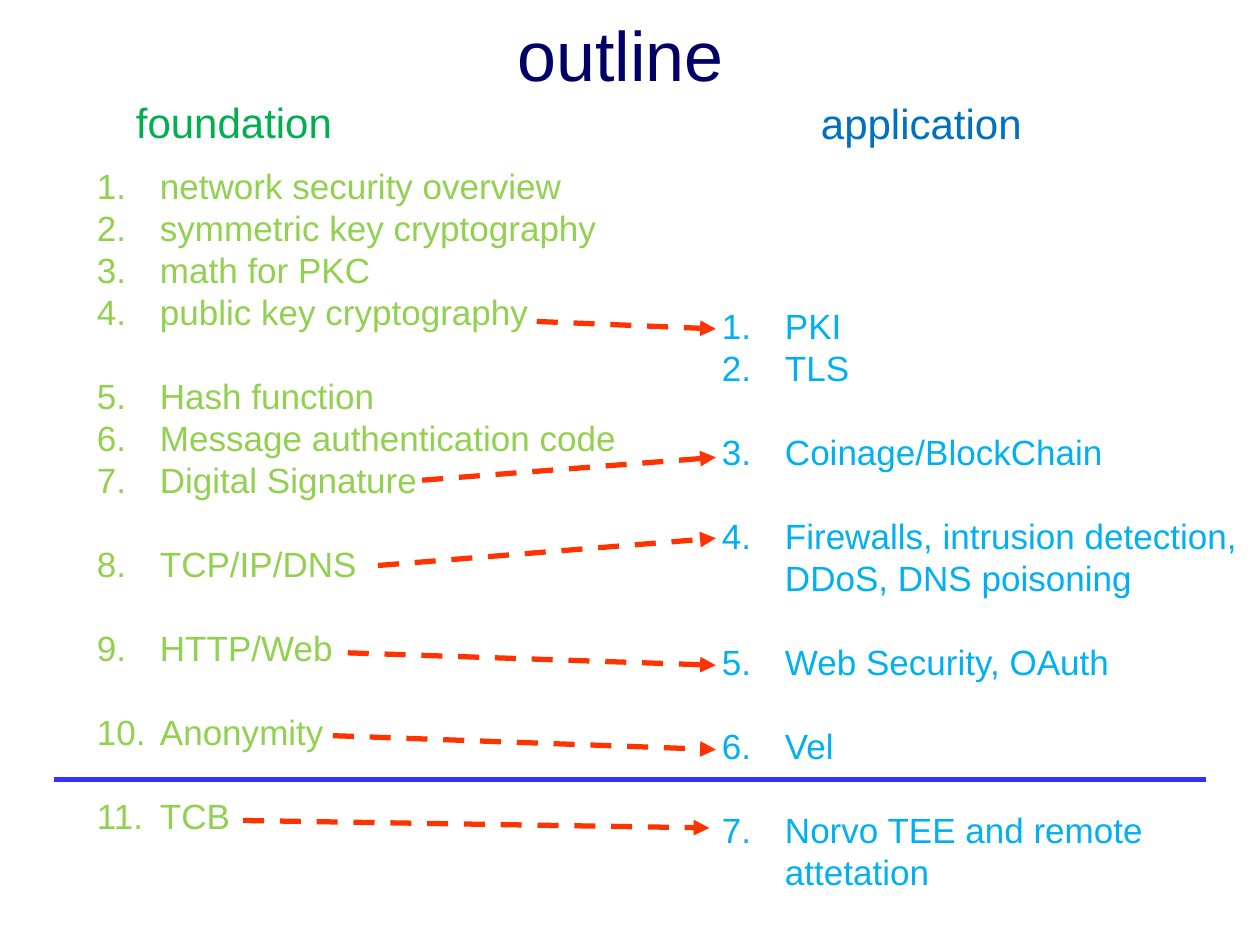
import pptx
import pptx.util
import pptx.dml.color
import pptx.enum.dml
import pptx.enum.shapes
import pptx.enum.text
import pptx.oxml.ns
import lxml.etree

Cm = pptx.util.Cm
Pt = pptx.util.Pt
qn = pptx.oxml.ns.qn


def tint(color, code):
    color.rgb = pptx.dml.color.RGBColor.from_string(code)


def style(para, size, code):
    for run in para.runs:
        run.font.size = Pt(size)
        run.font.name = "Arial"
        tint(run.font.color, code)


deck = pptx.Presentation()
deck.slide_width = Cm(25.4)
deck.slide_height = Cm(19.05)
slide = deck.slides.add_slide(deck.slide_layouts[3])
title, left, right = slide.placeholders

title.left, title.top, title.width, title.height = Cm(0), Cm(0.13), Cm(25.4), Cm(1.88)
title.text_frame.text = "outline "
title.text_frame.vertical_anchor = pptx.enum.text.MSO_ANCHOR.MIDDLE
title.text_frame.auto_size = pptx.enum.text.MSO_AUTO_SIZE.NONE
title.text_frame.paragraphs[0].alignment = pptx.enum.text.PP_ALIGN.CENTER
style(title.text_frame.paragraphs[0], 40, "000066")

basics = [
    ["network security overview", "symmetric key cryptography",
     "math for PKC", "public key cryptography"],
    ["Hash function", "Message authentication code", "Digital Signature"],
    ["TCP/IP/DNS"],
    ["HTTP/Web"],
    ["Anonymity"],
    ["TCB"],
]
uses = [
    ["PKI", "TLS"],
    ["Coinage/BlockChain"],
    ["Firewalls, intrusion detection, DDoS, DNS poisoning"],
    ["Web Security, OAuth"],
    ["Vel"],
    ["Norvo TEE and remote attetation"],
]
lists = [
    (left, basics, "92D050", (1.7, 3.18, 11.99, 13.79)),
    (right, uses, "00B0F0", (14.3, 6.01, 11.1, 10.77)),
]
for body, groups, code, place in lists:
    body.left, body.top, body.width, body.height = map(Cm, place)
    frame = body.text_frame
    frame.auto_size = pptx.enum.text.MSO_AUTO_SIZE.NONE
    frame.text = "\n".join(item for group in groups for item in group)
    paras = iter(frame.paragraphs)
    for part, group in enumerate(groups):
        for row in range(len(group)):
            para = next(paras)
            para.line_spacing = Pt(24)
            para.space_before = Pt(24 if part and not row else 0)
            style(para, 20, code)
            props = para._p.get_or_add_pPr()
            props.set("marL", str(Cm(1.27)))
            props.set("indent", str(-Cm(1.27)))
            lxml.etree.SubElement(props, qn("a:buAutoNum"), type="arabicPeriod")

heads = [
    ("foundation", "00B050", (2.49, 1.82, 4.52, 1.27)),
    ("application", "0070C0", (16.3, 1.85, 4.6, 1.27)),
]
for text, code, place in heads:
    head = slide.shapes.add_textbox(*map(Cm, place))
    head.text_frame.text = text
    head.text_frame.word_wrap = False
    style(head.text_frame.paragraphs[0], 24, code)

links = [
    (10.82, 6.48, 14.43, 6.63),
    (8.51, 9.68, 14.43, 9.22),
    (7.62, 11.4, 14.43, 10.85),
    (6.71, 14.83, 14.43, 15.11),
    (7.01, 13.16, 14.43, 13.41),
    (4.9, 16.54, 14.3, 16.69),
]
rule = (1.09, 15.72, 24.31, 15.72)
for ends in links + [rule]:
    line = slide.shapes.add_connector(
        pptx.enum.shapes.MSO_CONNECTOR.STRAIGHT, *map(Cm, ends))
    line.line.width = Pt(3)
    tint(line.line.color, "3333FF" if ends == rule else "FF3300")
    if ends != rule:
        line.line.dash_style = pptx.enum.dml.MSO_LINE.DASH
        lxml.etree.SubElement(line.line._get_or_add_ln(), qn("a:tailEnd"), type="triangle")
    lxml.etree.SubElement(line._element.spPr, qn("a:effectLst"))

deck.save("out.pptx")
